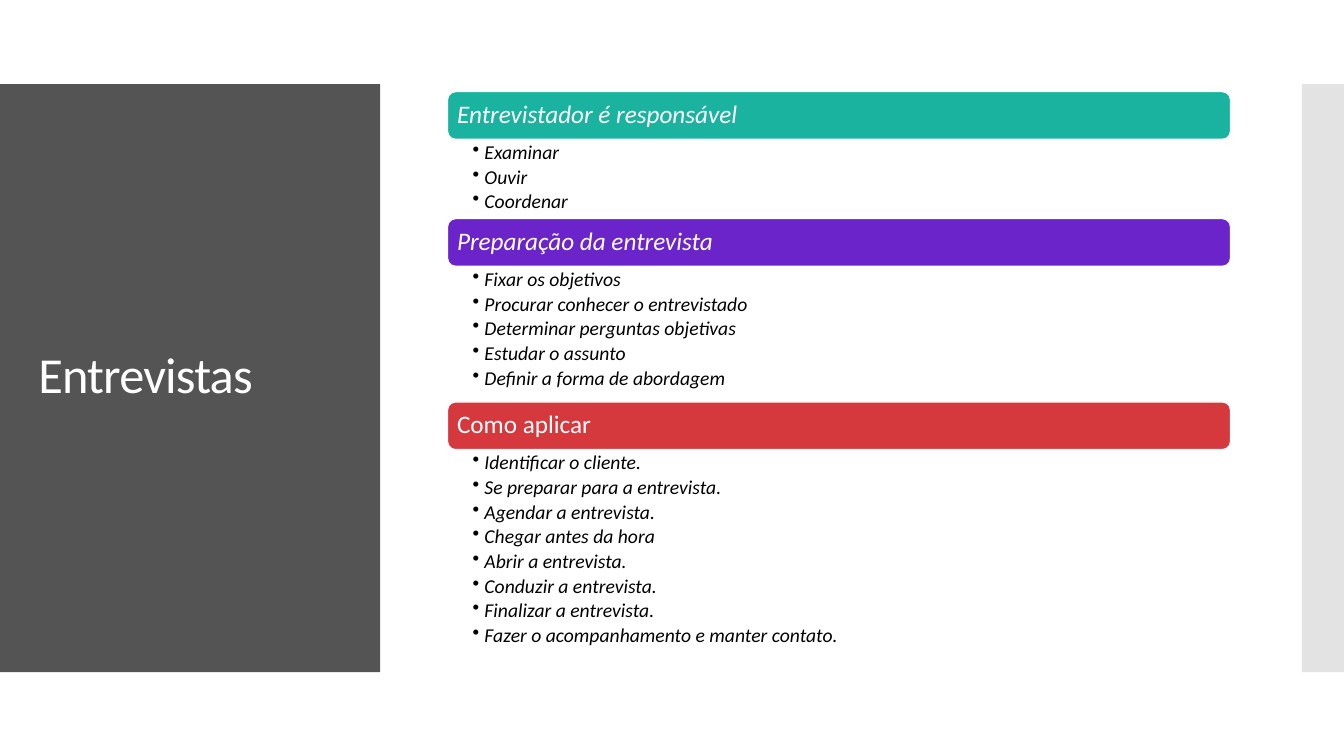
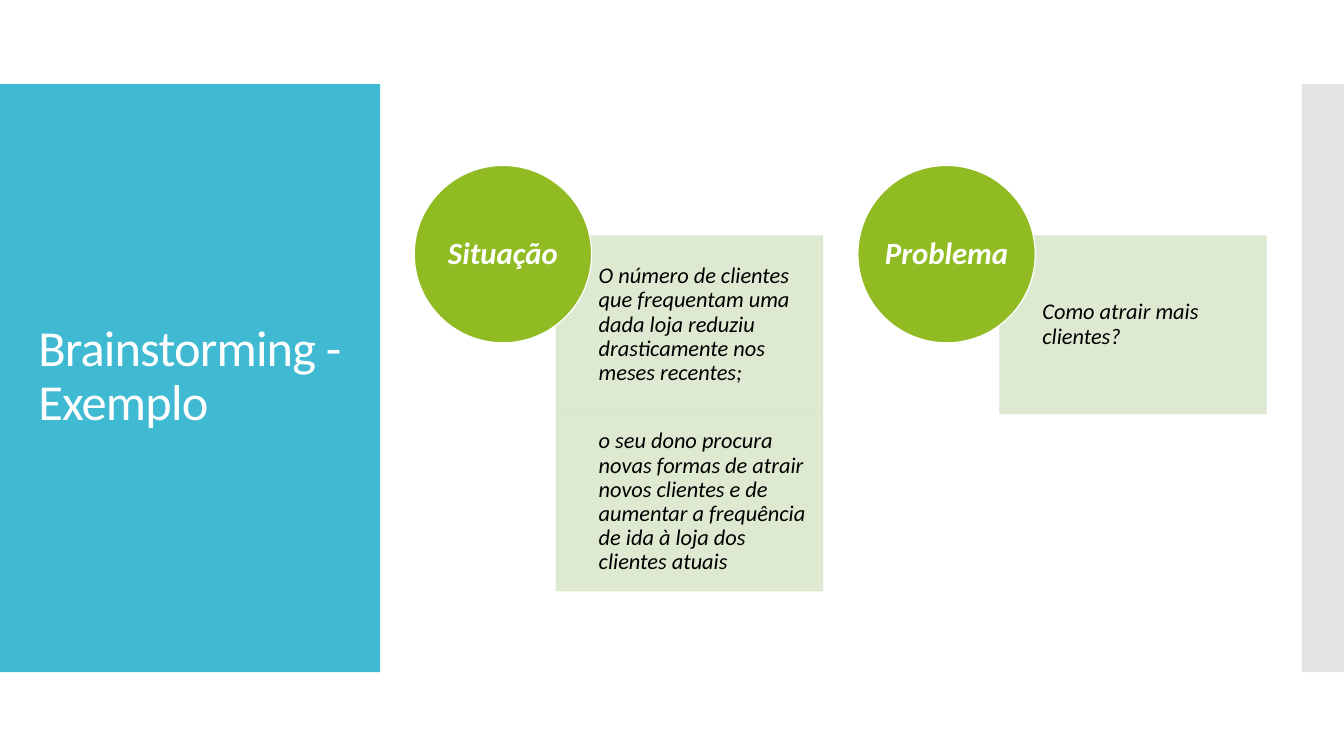
import dataclasses

import lxml.etree
import pptx
import pptx.dml.color
import pptx.enum.shapes
import pptx.enum.text
import pptx.oxml.ns
import pptx.util

Cm = pptx.util.Cm
Pt = pptx.util.Pt
Shapes = pptx.enum.shapes.MSO_SHAPE
Anchor = pptx.enum.text.MSO_ANCHOR
Align = pptx.enum.text.PP_ALIGN
qn = pptx.oxml.ns.qn


@dataclasses.dataclass(frozen=True)
class Theme:
    font: str = "Calibri"
    white: str = "FFFFFF"
    black: str = "000000"
    dark: str = "545454"
    blue: str = "40BAD2"
    gray: str = "C8C8C8"
    teal: str = "1AB39F"
    purple: str = "6A24CA"
    red: str = "D5393D"
    green: str = "90BB23"
    pale_green: str = "DBE7CD"
    title_size: float = 36
    circle_size: float = 22
    header_size: float = 18
    card_size: float = 16
    bullet_size: float = 14
    outline: float = 0.85
    line_spacing: float = 0.9


THEME = Theme()

INTERVIEW_SECTIONS = [
    ("Entrevistador é responsável", THEME.teal, True, 2.0,
     ["Examinar", "Ouvir", "Coordenar"]),
    ("Preparação da entrevista", THEME.purple, True, 3.42,
     ["Fixar os objetivos", "Procurar conhecer o entrevistado",
      "Determinar perguntas objetivas", "Estudar o assunto",
      "Definir a forma de abordagem"]),
    ("Como aplicar", THEME.red, False, 5.38,
     ["Identificar o cliente.", "Se preparar para a entrevista.",
      "Agendar a entrevista.", "Chegar antes da hora", "Abrir a entrevista.",
      "Conduzir a entrevista.", "Finalizar a entrevista.",
      "Fazer o acompanhamento e manter contato."]),
]

EXAMPLE_COLUMNS = [
    ("Situação",
     ["O número de clientes que frequentam uma dada loja reduziu "
      "drasticamente nos meses recentes;",
      "o seu dono procura novas formas de atrair novos clientes e de "
      "aumentar a frequência de ida à loja dos clientes atuais"]),
    ("Problema", ["Como atrair mais clientes?"]),
]


def rgb(color):
    return pptx.dml.color.RGBColor.from_string(color)


def set_text(shape, text, size, color, insets=None, anchor=Anchor.MIDDLE,
             align=Align.LEFT, italic=False, bold=False):
    """Write the text, one paragraph a line; insets are left, top, right, bottom in cm."""
    frame = shape.text_frame
    frame.text = text
    frame.word_wrap = True
    frame.auto_size = pptx.enum.text.MSO_AUTO_SIZE.NONE
    frame.vertical_anchor = anchor
    if insets:
        (frame.margin_left, frame.margin_top,
         frame.margin_right, frame.margin_bottom) = map(Cm, insets)
    for paragraph in frame.paragraphs:
        paragraph.alignment = align
        paragraph.line_spacing = THEME.line_spacing
        for run in paragraph.runs:
            run.font.name = THEME.font
            run.font.size = Pt(size)
            run.font.color.rgb = rgb(color)
            run.font.italic = italic
            run.font.bold = bold


def set_opacity(shape, percent):
    """Apply one opacity to the fill and the line of a shape."""
    for color in list(shape.element.spPr.iter(qn("a:srgbClr"))):
        alpha = lxml.etree.SubElement(color, qn("a:alpha"))
        alpha.set("val", str(percent * 1000))


def add_shape(slide, kind, left, top, width, height, fill, line=None):
    shape = slide.shapes.add_shape(kind, Cm(left), Cm(top), Cm(width), Cm(height))
    shape.shadow.inherit = False
    shape.fill.solid()
    shape.fill.fore_color.rgb = rgb(fill)
    if line:
        shape.line.color.rgb = rgb(line)
        shape.line.width = Pt(THEME.outline)
    else:
        shape.line.fill.background()
    return shape


def add_titled_slide(presentation, title_text, panel_color):
    """Add a slide with a title panel at the left and a gray band at the right."""
    slide = presentation.slides.add_slide(presentation.slide_layouts[5])
    title = slide.shapes.title
    title.left, title.top = Cm(0.71), Cm(3.12)
    title.width, title.height = Cm(8.18), Cm(12.78)
    set_text(title, title_text, THEME.title_size, THEME.white)
    for run in title.text_frame.paragraphs[0].runs:
        run._r.get_or_add_rPr().set("spc", "-60")

    panel = add_shape(slide, Shapes.RECTANGLE, 0, 2.12, 9.58, 14.82, panel_color)
    band = add_shape(slide, Shapes.RECTANGLE, 32.81, 2.12, 1.06, 14.82, THEME.gray)
    set_opacity(band, 50)
    for backdrop in (panel, band):
        title.element.addprevious(backdrop.element)
    return slide


def add_bullets(slide, items, left, top, width, height):
    box = slide.shapes.add_textbox(Cm(left), Cm(top), Cm(width), Cm(height))
    set_text(box, "\n".join(items), THEME.bullet_size, THEME.black,
             insets=(0.63, 0.08, 0.36, 0.08), anchor=Anchor.TOP, italic=True)
    for paragraph in box.text_frame.paragraphs:
        paragraph.space_after = Pt(2.5)
        properties = paragraph._p.get_or_add_pPr()
        properties.set("marL", str(Cm(0.3)))
        properties.set("indent", str(-Cm(0.3)))
        lxml.etree.SubElement(properties, qn("a:buChar")).set("char", "•")


def add_sections(slide, sections):
    """Stack header bars, each with its bullets below."""
    left, top, width, header_height = 11.28, 2.31, 19.73, 1.2
    for heading, color, italic, bullets_height, items in sections:
        header = add_shape(slide, Shapes.ROUNDED_RECTANGLE, left, top, width,
                           header_height, color, THEME.white)
        set_text(header, heading, THEME.header_size, THEME.white,
                 insets=(0.18, 0.18, 0.18, 0.18), italic=italic)
        top += header_height
        add_bullets(slide, items, left, top, width, bullets_height)
        top += bullets_height


def add_circle_column(slide, left, label, card_texts):
    """Stack cards and overlap their top left corner with a labelled circle."""
    top, diameter = 4.17, 4.47
    for index, text in enumerate(card_texts):
        card = add_shape(slide, Shapes.RECTANGLE, left + 3.58,
                         top + 1.78 + index * diameter, 6.71, diameter,
                         THEME.pale_green, THEME.pale_green)
        set_opacity(card, 90)
        set_text(card, text, THEME.card_size, THEME.black,
                 insets=(1.07, 0.3, 0.3, 0.3), italic=True)
    circle = add_shape(slide, Shapes.OVAL, left, top, diameter, diameter,
                       THEME.green, THEME.white)
    set_text(circle, label, THEME.circle_size, THEME.white, insets=(0, 0, 0, 0),
             align=Align.CENTER, italic=True, bold=True)


def main():
    presentation = pptx.Presentation()
    presentation.slide_width, presentation.slide_height = Cm(33.87), Cm(19.05)

    interviews = add_titled_slide(presentation, "Entrevistas", THEME.dark)
    add_sections(interviews, INTERVIEW_SECTIONS)

    example = add_titled_slide(presentation, "Brainstorming - Exemplo", THEME.blue)
    for index, (label, card_texts) in enumerate(EXAMPLE_COLUMNS):
        add_circle_column(example, 10.44 + index * 11.18, label, card_texts)

    presentation.save("out.pptx")


if __name__ == "__main__":
    main()
